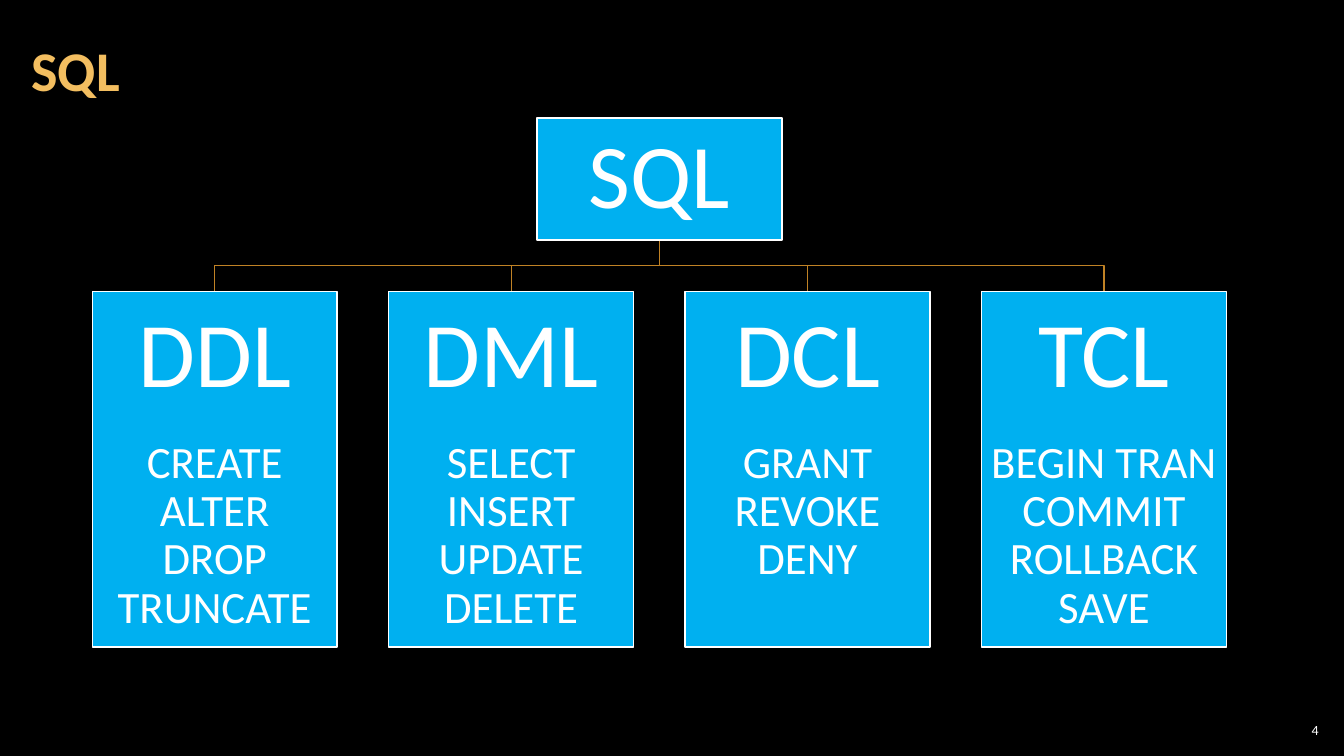
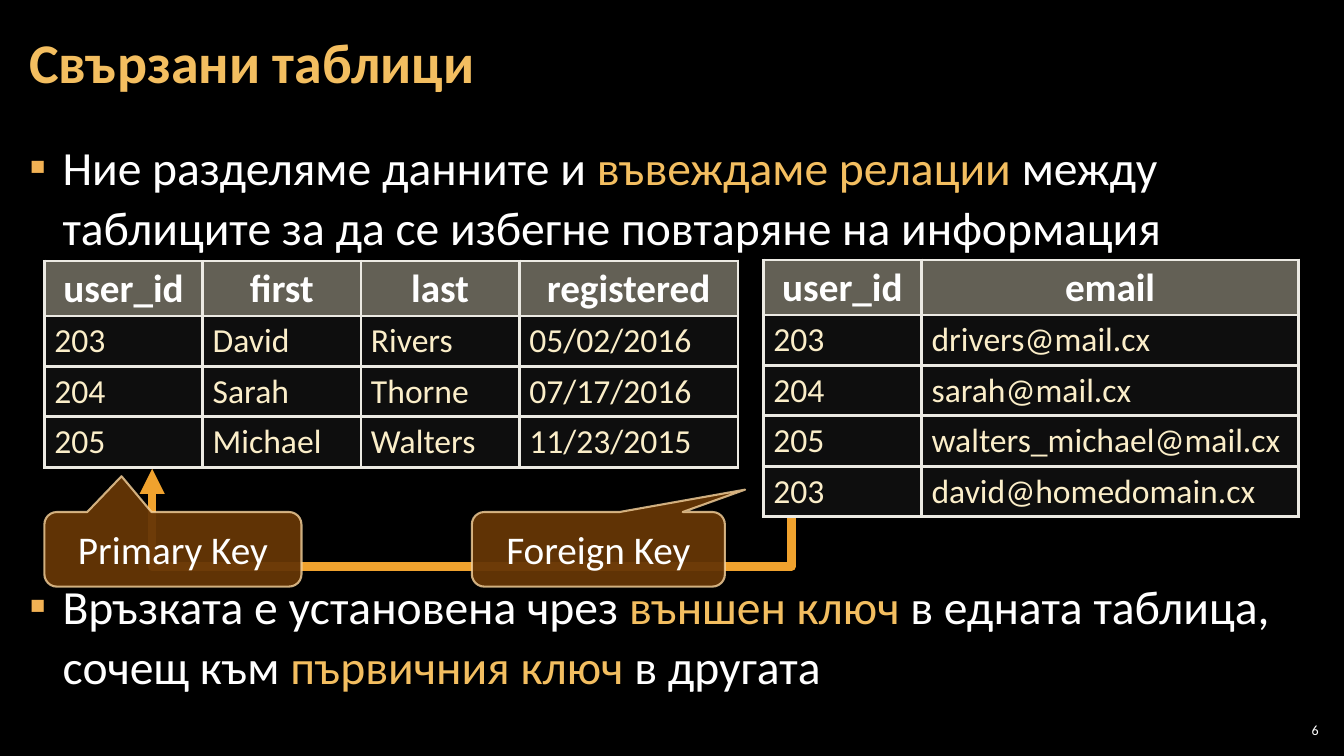
from pptx import Presentation
from pptx.dml.color import RGBColor
from pptx.enum.shapes import MSO_CONNECTOR as Link, MSO_SHAPE as Preset
from pptx.enum.text import MSO_ANCHOR as Anchor, PP_ALIGN as Align
from pptx.oxml.ns import qn
from pptx.oxml.xmlchemy import OxmlElement
from pptx.util import Inches, Pt

FONT = "Calibri"
COLORS = {
    "background": "000000",
    "text": "FFFFFF",
    "accent": "F3BE60",
    "bullet": "F2B254",
    "card": "00B0F0",
    "branch": "C08225",
    "arrow": "F0A22E",
    "callout": "663606",
    "callout_line": "F8D49E",
    "header_fill": "C6C0AA",
    "cell_fill": "464848",
    "cell_text": "FBEEC9",
    "border": "ECEAE3",
}
SQL_GROUPS = [
    ("DDL", ["CREATE", "ALTER", "DROP", "TRUNCATE"]),
    ("DML", ["SELECT", "INSERT", "UPDATE", "DELETE"]),
    ("DCL", ["GRANT", "REVOKE", "DENY"]),
    ("TCL", ["BEGIN TRAN", "COMMIT", "ROLLBACK", "SAVE"]),
]
USERS = [
    ["user_id", "first", "last", "registered"],
    ["203", "David", "Rivers", "05/02/2016"],
    ["204", "Sarah", "Thorne", "07/17/2016"],
    ["205", "Michael", "Walters", "11/23/2015"],
]
EMAILS = [
    ["user_id", "email"],
    ["203", "drivers@mail.cx"],
    ["204", "sarah@mail.cx"],
    ["205", "walters_michael@mail.cx"],
    ["203", "david@homedomain.cx"],
]
RELATIONS = [
    ("Ние разделяме данните и ", "text"),
    ("въвеждаме релации", "accent"),
    (" между таблиците за да се избегне повтаряне на информация", "text"),
]
KEYS = [
    ("Връзката е установена чрез ", "text"),
    ("външен ключ ", "accent"),
    ("в едната таблица, сочещ към ", "text"),
    ("първичния ключ", "accent"),
    (" в другата", "text"),
]


def color(name):
    return RGBColor.from_string(COLORS[name])


def add_element(parent, tag, **attributes):
    element = OxmlElement(tag)
    for key, value in attributes.items():
        element.set(key, str(value))
    parent.append(element)
    return element


def paint(fill, name):
    fill.solid()
    fill.fore_color.rgb = color(name)


def set_opacity(parent, percent):
    solid = parent.find(f"{qn('a:solidFill')}/{qn('a:srgbClr')}")
    add_element(solid, "a:alpha", val=percent * 1000)


def set_line(line, name, width):
    paint(line.fill, name)
    line.width = Pt(width)


def add_span(para, text, size, name="text", bold=False):
    span = para.add_run()
    span.text = text
    span.font.name = FONT
    span.font.size = Pt(size)
    span.font.bold = bold
    span.font.color.rgb = color(name)


def set_frame(frame, margins, anchor=Anchor.MIDDLE, wrap=True):
    frame.word_wrap = wrap
    frame.vertical_anchor = anchor
    horizontal, vertical = margins
    frame.margin_left = frame.margin_right = Inches(horizontal)
    frame.margin_top = frame.margin_bottom = Inches(vertical)


def add_text_box(page, place, margins, anchor=Anchor.MIDDLE):
    box = page.shapes.add_textbox(*map(Inches, place))
    set_frame(box.text_frame, margins, anchor)
    return box.text_frame


def add_title(page, text, left, top):
    frame = add_text_box(page, (left, top, 10.48, 1.22), (0.12, 0.04))
    para = frame.paragraphs[0]
    para.line_spacing = 0.9
    add_span(para, text, 40, "accent", bold=True)


def add_page_number(page, number):
    frame = add_text_box(page, (12.65, 7.14, 0.47, 0.21), (0.04, 0.04))
    para = frame.paragraphs[0]
    para.alignment = Align.RIGHT
    add_span(para, number, 10)


def add_shape(page, preset, place, fill, line, width):
    shape = page.shapes.add_shape(preset, *map(Inches, place))
    shape.shadow.inherit = False
    paint(shape.fill, fill)
    set_line(shape.line, line, width)
    return shape


def add_card(page, place, heading, size, items=()):
    shape = add_shape(page, Preset.RECTANGLE, place, "card", "text", 1)
    frame = shape.text_frame
    if items:
        set_frame(frame, (0.05, 0.16), Anchor.TOP)
    else:
        set_frame(frame, (0.05, 0.05))
    para = frame.paragraphs[0]
    add_span(para, heading, size)
    if items:
        para.space_after = Pt(23)
    for item in items:
        add_span(frame.add_paragraph(), item, 32)
    for para in frame.paragraphs:
        para.alignment = Align.CENTER
        para.line_spacing = 0.9


def add_vertical_elbow(page, start, end, name, width, bend=0.5):
    middle_x, middle_y = ((a + b) / 2 for a, b in zip(start, end))
    half_x, half_y = ((b - a) / 2 for a, b in zip(start, end))
    ends = (middle_x - half_y, middle_y + half_x,
            middle_x + half_y, middle_y - half_x)
    elbow = page.shapes.add_connector(Link.ELBOW, *map(Inches, ends))
    properties = elbow._element.spPr
    properties.find(qn("a:xfrm")).set("rot", "5400000")
    geometry = properties.find(qn("a:prstGeom"))
    guides = geometry.find(qn("a:avLst"))
    if guides is None:
        guides = add_element(geometry, "a:avLst")
    add_element(guides, "a:gd", name="adj1", fmla=f"val {round(bend * 100000)}")
    set_line(elbow.line, name, width)
    add_element(properties, "a:effectLst")
    return elbow


def add_key_arrow(page, start, end, bend):
    elbow = add_vertical_elbow(page, start, end, "arrow", 6, bend)
    add_element(elbow._element.spPr.find(qn("a:ln")), "a:tailEnd", type="triangle")


def add_callout(page, place, text, tip):
    shape = add_shape(page, Preset.ROUNDED_RECTANGULAR_CALLOUT, place,
                      "callout", "callout_line", 1.5)
    shape.adjustments[0], shape.adjustments[1] = tip
    properties = shape._element.spPr
    set_opacity(properties, 95)
    set_opacity(properties.find(qn("a:ln")), 80)
    set_frame(shape.text_frame, (0.3, 0.1), wrap=False)
    para = shape.text_frame.paragraphs[0]
    para.alignment = Align.CENTER
    add_span(para, text, 28)


def add_bullet(para, spans):
    properties = para._p.get_or_add_pPr()
    properties.set("marL", str(Inches(0.33)))
    properties.set("indent", str(Inches(-0.33)))
    para.line_spacing = 1.05
    bullet_color = add_element(properties, "a:buClr")
    add_element(bullet_color, "a:srgbClr", val=COLORS["bullet"])
    add_element(properties, "a:buFont", typeface=FONT)
    add_element(properties, "a:buChar", char="▪")
    for text, name in spans:
        add_span(para, text, 34, name)


def set_borders(cell):
    properties = cell._tc.get_or_add_tcPr()
    for index, side in enumerate("LRTB"):
        border = OxmlElement(f"a:ln{side}")
        border.set("w", str(Pt(2.25)))
        solid = add_element(border, "a:solidFill")
        add_element(solid, "a:srgbClr", val=COLORS["border"])
        properties.insert(index, border)


def fill_cell(cell, text, is_header):
    para = cell.text_frame.paragraphs[0]
    if is_header:
        cell.margin_left = cell.margin_right = Inches(0.17)
        para.alignment = Align.CENTER
        para.line_spacing = 0.95
        add_span(para, text, 28, bold=True)
    else:
        add_span(para, text, 24, "cell_text")
    paint(cell.fill, "header_fill" if is_header else "cell_fill")
    set_opacity(cell._tc.tcPr, 50 if is_header else 20)
    set_borders(cell)


def add_data_table(page, left, top, widths, rows):
    heights = [0.54] + [0.5] * (len(rows) - 1)
    place = (left, top, sum(widths), sum(heights))
    table = page.shapes.add_table(len(rows), len(widths), *map(Inches, place)).table
    table.first_row = table.horz_banding = False
    for column, width in zip(table.columns, widths):
        column.width = Inches(width)
    for index, (row, height) in enumerate(zip(table.rows, heights)):
        row.height = Inches(height)
        for cell, text in zip(row.cells, rows[index]):
            fill_cell(cell, text, index == 0)


def add_page(deck, number):
    page = deck.slides.add_slide(deck.slide_layouts[6])
    add_page_number(page, number)
    return page


def build_sql_groups(deck):
    page = add_page(deck, "4")
    add_title(page, "SQL", 0.19, 0.12)
    center, step, width = 6.54, 2.94, 2.43
    root_top, root_height, card_top = 1.17, 1.21, 2.89
    centers = [center + (i - 1.5) * step for i in range(len(SQL_GROUPS))]
    for x in reversed(centers):
        add_vertical_elbow(page, (center, root_top + root_height), (x, card_top),
                           "branch", 1)
    add_card(page, (center - width / 2, root_top, width, root_height), "SQL", 65)
    for x, (heading, items) in zip(centers, SQL_GROUPS):
        add_card(page, (x - width / 2, card_top, width, 3.53), heading, 66, items)


def build_related_tables(deck):
    page = add_page(deck, "6")
    add_key_arrow(page, (7.85, 5.14), (1.51, 4.65), -0.98)
    frame = add_text_box(page, (0.17, 1.3, 12.91, 6.05), (0.12, 0.04), Anchor.TOP)
    add_bullet(frame.paragraphs[0], RELATIONS)
    para = frame.add_paragraph()
    para.space_before = Pt(228)
    add_bullet(para, KEYS)
    add_title(page, "Свързани таблици", 0.17, 0.04)
    add_data_table(page, 0.44, 2.59, [1.57, 1.57, 1.57, 2.17], USERS)
    add_data_table(page, 7.57, 2.58, [1.57, 3.74], EMAILS)
    add_callout(page, (0.44, 5.08, 2.55, 0.74), "Primary Key", (-0.2, -0.98))
    add_callout(page, (4.68, 5.08, 2.51, 0.74), "Foreign Key", (0.58, -0.8))


def main():
    deck = Presentation()
    deck.slide_width, deck.slide_height = Inches(13.33), Inches(7.5)
    paint(deck.slide_master.background.fill, "background")
    build_sql_groups(deck)
    build_related_tables(deck)
    deck.save("out.pptx")


if __name__ == "__main__":
    main()
